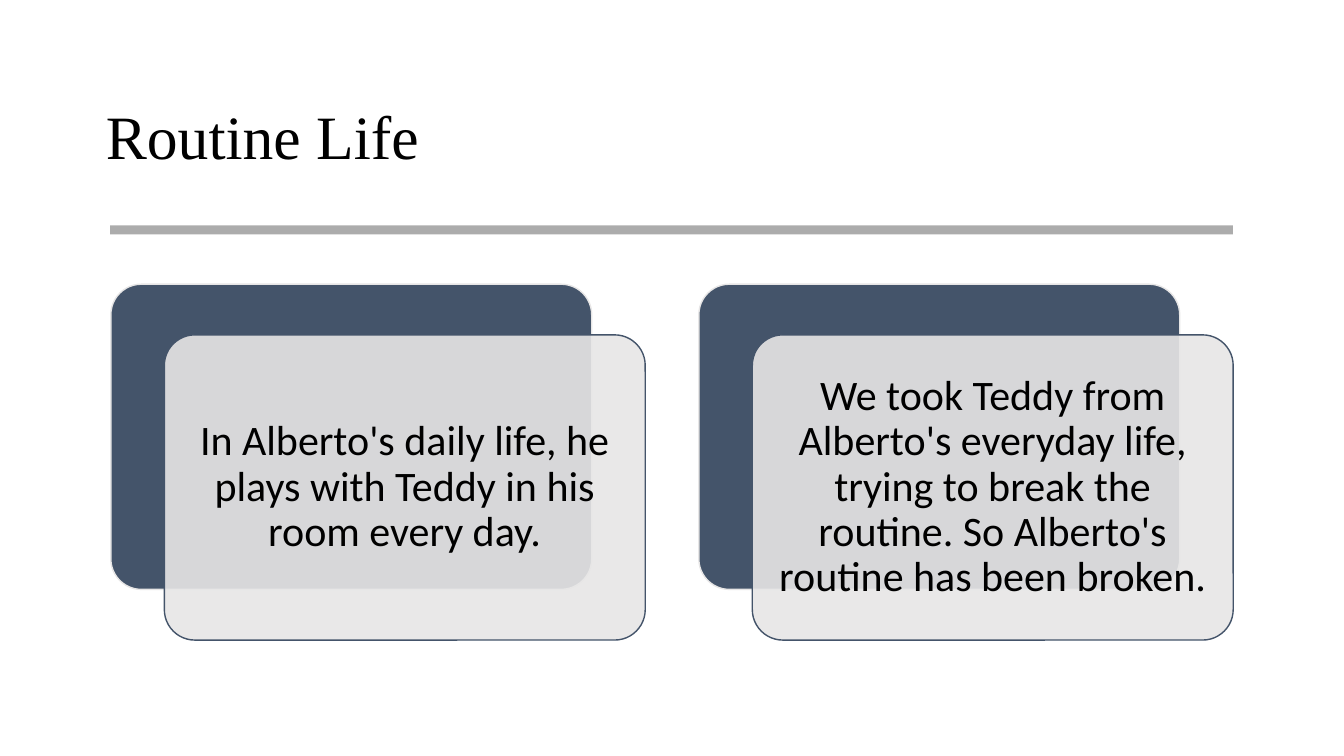
from lxml import etree
from pptx import Presentation
from pptx.dml.color import RGBColor
from pptx.enum import shapes, text
from pptx.oxml.ns import qn
from pptx.util import Pt

NAVY, PALE, GRAY, BLACK = "44546A", "E7E6E6", "808080", "000000"


def add_block(kind, box, fill, opacity=100, line=None):
    shape = slide.shapes.add_shape(kind, *map(Pt, box))
    shape.shadow.inherit = False
    shape.fill.solid()
    shape.fill.fore_color.rgb = RGBColor.from_string(fill)
    if opacity < 100:
        color = shape.fill._xPr.find(qn("a:solidFill"))[0]
        etree.SubElement(color, qn("a:alpha"), val=str(opacity * 1000))
    if line:
        shape.line.color.rgb = RGBColor.from_string(line)
        shape.line.width = Pt(1)
    else:
        shape.line.fill.background()
    return shape


def add_text(box, words, font, size, align, margins):
    frame = slide.shapes.add_textbox(*map(Pt, box)).text_frame
    settings = {"word_wrap": True, "vertical_anchor": text.MSO_ANCHOR.MIDDLE}
    for side, margin in margins.items():
        settings["margin_" + side] = Pt(margin)
    for name, value in settings.items():
        setattr(frame, name, value)
    paragraph = frame.paragraphs[0]
    paragraph.text = words
    paragraph.alignment = align
    paragraph.line_spacing = 0.9
    for name, value in {"name": font, "size": Pt(size)}.items():
        setattr(paragraph.font, name, value)
    paragraph.font.color.rgb = RGBColor.from_string(BLACK)


presentation = Presentation()
presentation.slide_width, presentation.slide_height = Pt(960), Pt(540)
slide = presentation.slides.add_slide(presentation.slide_layouts[6])

# Title and rule
add_text((68.6, 47.5, 823, 104.4), "Routine Life", "Times New Roman", 44,
         text.PP_ALIGN.LEFT, {"left": 7.2, "right": 7.2})
add_block(shapes.MSO_SHAPE.RECTANGLE, (78.7, 161, 802, 6.5), GRAY, opacity=65)

# Cards: a dark back panel, a pale front panel and its text
card_left, card_top, card_width, card_height = 79.2, 203, 343.5, 218
card_step, shift_x, shift_y, inset = 420, 38.2, 36.2, 6.4
messages = [
    "In Alberto's daily life, he plays with Teddy in his room every day.",
    "We took Teddy from Alberto's everyday life, trying to break the routine. "
    "So Alberto's routine has been broken.",
]
for index, message in enumerate(messages):
    left = card_left + index * card_step
    front_left, front_top = left + shift_x, card_top + shift_y
    back = add_block(shapes.MSO_SHAPE.ROUNDED_RECTANGLE,
                     (left, card_top, card_width, card_height), NAVY, line=PALE)
    front = add_block(shapes.MSO_SHAPE.ROUNDED_RECTANGLE,
                      (front_left, front_top, card_width, card_height),
                      PALE, opacity=90, line=NAVY)
    for panel in (back, front):
        panel.adjustments[0] = 0.1
    add_text((front_left + inset, front_top + inset,
              card_width - 2 * inset, card_height - 2 * inset),
             message, "Calibri", 30, text.PP_ALIGN.CENTER,
             dict.fromkeys(("left", "top", "right", "bottom"), 9))

presentation.save("out.pptx")
